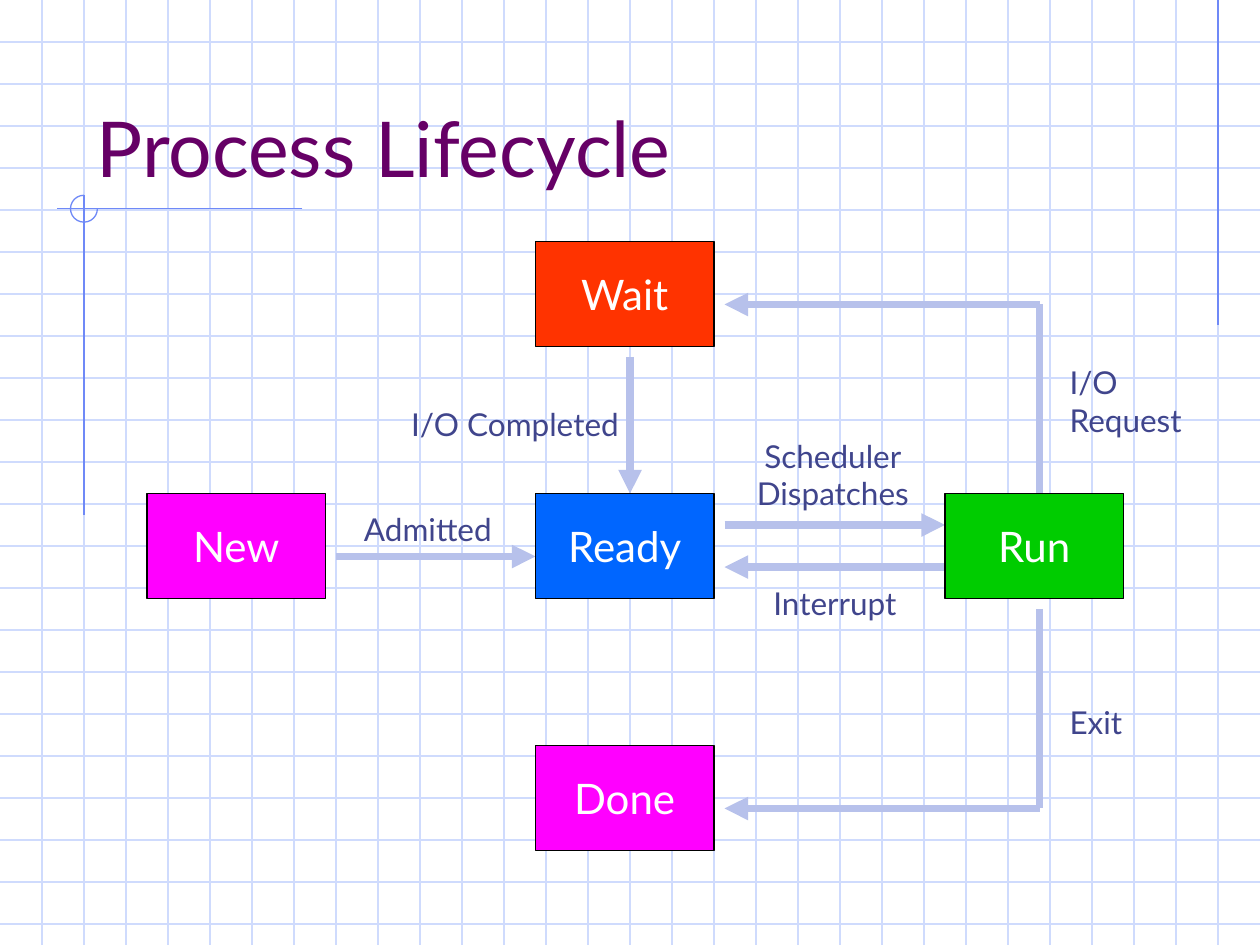
from lxml import etree
from pptx import Presentation
from pptx.dml.color import RGBColor
from pptx.enum.shapes import MSO_CONNECTOR, MSO_SHAPE
from pptx.enum.text import MSO_ANCHOR, PP_ALIGN
from pptx.oxml.ns import qn
from pptx.util import Inches, Pt

STRAIGHT = MSO_CONNECTOR.STRAIGHT
RECT, ARC = MSO_SHAPE.RECTANGLE, MSO_SHAPE.ARC
LEFT, CENTER, RIGHT = PP_ALIGN.LEFT, PP_ALIGN.CENTER, PP_ALIGN.RIGHT
MIDDLE, BOTTOM = MSO_ANCHOR.MIDDLE, MSO_ANCHOR.BOTTOM

FONT = "Lato"
WHITE = RGBColor(0xFF, 0xFF, 0xFF)
BLACK = RGBColor(0x00, 0x00, 0x00)
GRID = RGBColor(0xCF, 0xDB, 0xFD)
ACCENT = RGBColor(0x6F, 0x89, 0xF7)
ARROW = RGBColor(0xB7, 0xC1, 0xEB)
LABEL = RGBColor(0x40, 0x45, 0x8C)
PURPLE = RGBColor(0x66, 0x00, 0x66)
RED = RGBColor(0xFF, 0x33, 0x00)
MAGENTA = RGBColor(0xFF, 0x00, 0xFF)
BLUE = RGBColor(0x00, 0x66, 0xFF)
GREEN = RGBColor(0x00, 0xCC, 0x00)

# All lengths are in squares of the background grid, three to the inch.
COLS, ROWS = 30, 22.5
NODE_W, NODE_H = 4.25, 2.5

# Positions below are relative to the top left corner of the diagram.
NODES = [  # text, colour, left, top
    ("Wait", RED, 9.25, 0),
    ("New", MAGENTA, 0, 6),
    ("Ready", BLUE, 9.25, 6),
    ("Run", GREEN, 19, 6),
    ("Done", MAGENTA, 9.25, 12),
]
ARROWS = [  # x1, y1, x2, y2, has arrowhead
    (21.25, 6, 21.25, 1.5, False),
    (21.25, 1.5, 13.75, 1.5, True),
    (11.5, 2.75, 11.5, 6, True),
    (4.5, 7.5, 9.25, 7.5, True),
    (13.75, 6.75, 19, 6.75, True),
    (19, 7.75, 13.75, 7.75, True),
    (21.25, 8.75, 21.25, 13.5, False),
    (21.25, 13.5, 13.75, 13.5, True),
]
LABELS = [  # lines, left, top, width, alignment
    (["Admitted"], 4.87, 6.25, 3.84, LEFT),
    (["Scheduler", "Dispatches"], 14.11, 4.5, 4.44, CENTER),
    (["Interrupt"], 14.62, 8, 3.81, LEFT),
    (["Exit"], 21.67, 10.85, 1.86, LEFT),
    (["I/O", "Request"], 21.67, 2.75, 3.45, LEFT),
    (["I/O Completed"], 5.5, 3.75, 6.03, RIGHT),
]


def sq(n):
    """Length of n grid squares."""
    return Inches(n / 3)


def add_line(s, x1, y1, x2, y2, color, width=0.75, arrow=False):
    line = s.shapes.add_connector(STRAIGHT, sq(x1), sq(y1), sq(x2), sq(y2))
    line.line.color.rgb = color
    line.line.width = Pt(width)
    sp_pr = line.element.find(qn("p:spPr"))
    if arrow:
        etree.SubElement(sp_pr.find(qn("a:ln")), qn("a:tailEnd"), type="triangle")
    etree.SubElement(sp_pr, qn("a:effectLst"))


def write(tf, lines, size, color, align):
    tf.text = "\n".join(lines)
    for p in tf.paragraphs:
        p.alignment = align
        p.font.name = FONT
        p.font.size = Pt(size)
        p.font.color.rgb = color


def add_grid(s):
    for row in range(1, int(ROWS) + 1):
        add_line(s, 0, row, COLS, row, GRID)
    for col in range(1, COLS):
        add_line(s, col, 0, col, ROWS, GRID)


def add_crosshair(s, x, y, radius=0.32):
    """Ornament of two lines and an open circle around their crossing."""
    add_line(s, x + 5.2, y, x - 0.65, y, ACCENT)
    add_line(s, x, y - radius, x, y + 7.3, ACCENT)
    sp = s.shapes.add_shape(ARC, sq(x - radius), sq(y - radius),
                            sq(2 * radius), sq(2 * radius))
    sp.adjustments[0] = 0
    sp.adjustments[1] = 270 * 0.6
    sp.shadow.inherit = False
    sp.fill.background()
    sp.line.color.rgb = ACCENT
    sp.line.width = Pt(0.75)


def set_title(s, text, x, y, w, h):
    title = s.shapes.title
    title.left, title.top, title.width, title.height = map(sq, (x, y, w, h))
    title.text_frame.vertical_anchor = BOTTOM
    write(title.text_frame, [text], 44, PURPLE, LEFT)
    title.element.getparent().append(title.element)  # in front of the grid


def add_node(s, text, color, x, y):
    sp = s.shapes.add_shape(RECT, sq(x), sq(y), sq(NODE_W), sq(NODE_H))
    sp.shadow.inherit = False
    sp.fill.solid()
    sp.fill.fore_color.rgb = color
    sp.line.color.rgb = BLACK
    sp.line.width = Pt(0.75)
    tf = sp.text_frame
    tf.word_wrap = False
    tf.vertical_anchor = MIDDLE
    write(tf, [text], 24, WHITE, CENTER)


def add_label(s, lines, x, y, w, align):
    height = 0.3 + 0.9 * len(lines)
    tf = s.shapes.add_textbox(sq(x), sq(y), sq(w), sq(height)).text_frame
    tf.word_wrap = False
    write(tf, lines, 18, LABEL, align)


def add_lifecycle(s, left, top):
    for x1, y1, x2, y2, arrow in ARROWS:
        add_line(s, left + x1, top + y1, left + x2, top + y2, ARROW, 4.5, arrow)
    for text, color, x, y in NODES:
        add_node(s, text, color, left + x, top + y)
    for lines, x, y, w, align in LABELS:
        add_label(s, lines, left + x, top + y, w, align)


def main():
    prs = Presentation()
    prs.slide_width, prs.slide_height = sq(COLS), sq(ROWS)
    s = prs.slides.add_slide(prs.slide_layouts[5])
    add_grid(s)
    add_line(s, 29, 0, 29, 7.75, ACCENT)
    add_crosshair(s, 2, 4.97)
    set_title(s, "Process Lifecycle", 2, 1, 25.5, 3.75)
    add_lifecycle(s, 3.5, 5.75)
    prs.save("out.pptx")


if __name__ == "__main__":
    main()
